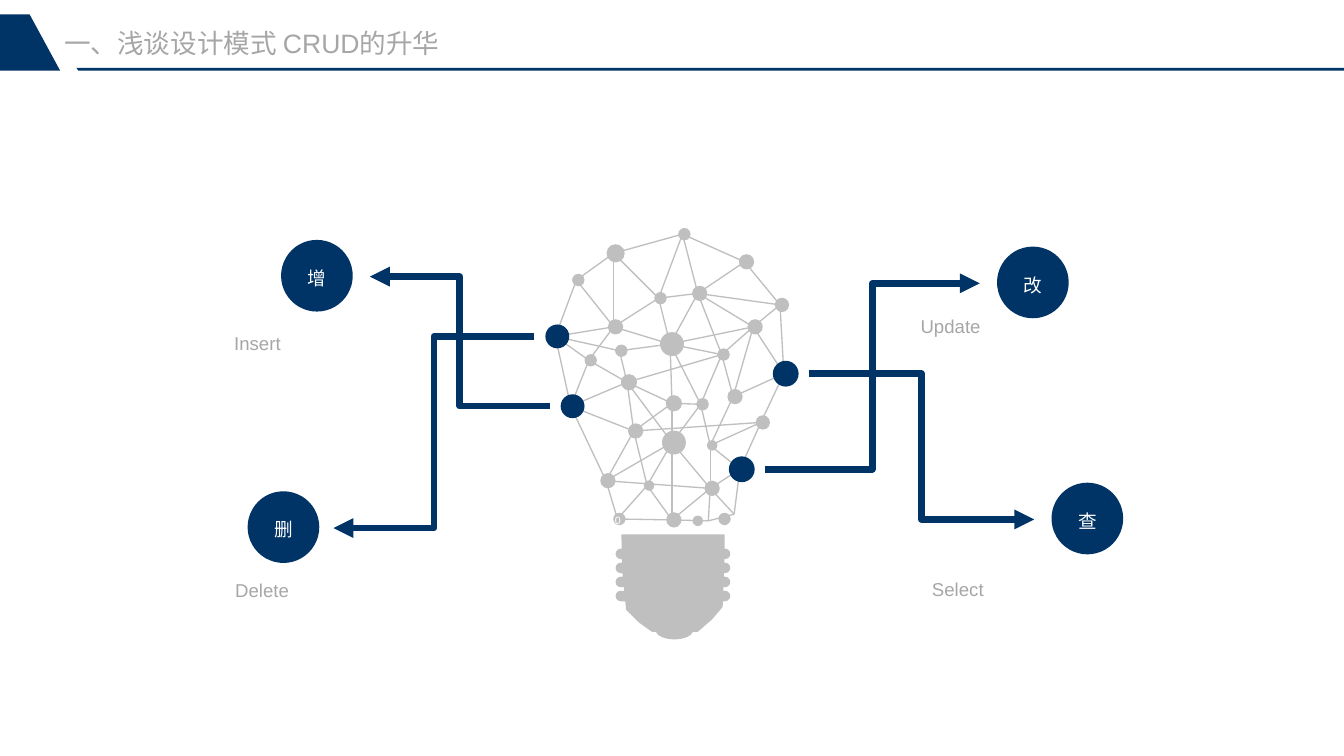
import pptx
import pptx.util
import pptx.dml.color
import pptx.enum.shapes
import pptx.enum.text
import pptx.oxml.ns
import lxml.etree
from dataclasses import dataclass

Inches = pptx.util.Inches
Pt = pptx.util.Pt
Kind = pptx.enum.shapes.MSO_SHAPE
Link = pptx.enum.shapes.MSO_CONNECTOR
Align = pptx.enum.text.PP_ALIGN
Anchor = pptx.enum.text.MSO_ANCHOR
qn = pptx.oxml.ns.qn


@dataclass(frozen=True)
class Theme:
    navy: str = "003366"
    grey: str = "BFBFBF"
    text: str = "A6A6A6"
    white: str = "FFFFFF"
    font: str = "Arial"
    head: int = 20
    body: int = 14
    tiny: int = 8
    thin: int = 1
    thick: int = 5


THEME = Theme()

# Bulb dots: centre x, centre y, width, relative to the bulb's box
DOTS = {
    "a": (2.48, .79, .15), "b": (.74, .25, .19), "c": (2.28, 2.02, .15),
    "d": (1.46, .05, .13), "e": (1.88, 3.03, .13), "f": (.35, .53, .13),
    "g": (2.11, .34, .16), "h": (.78, 3.03, .13), "i": (.66, 2.63, .16),
    "j": (1.33, 1.2, .25), "k": (.88, 1.6, .17), "l": (.8, 1.27, .13),
    "m": (1.65, 1.83, .13), "n": (1.87, 1.31, .13), "o": (1.21, .72, .13),
    "p": (1.6, 3.05, .11), "q": (1.35, 3.04, .16), "r": (1.75, 2.71, .16),
    "s": (1.35, 2.23, .25), "t": (1.35, 1.82, .17), "u": (.48, 1.37, .13),
    "v": (.74, 1.02, .16), "w": (1.62, .67, .16), "x": (2.2, 1.02, .16),
    "y": (1.99, 1.75, .16), "z": (.95, 2.11, .16), "A": (1.75, 2.26, .11),
    "B": (1.09, 2.68, .11),
}
# Navy dots, where the four branches start
HUBS = {
    "C": (2.52, 1.51, .27), "D": (2.06, 2.51, .27),
    "E": (.29, 1.85, .25), "F": (.13, 1.12, .25),
}
# Corners of the net without a dot
BENDS = {"G": (2, 2.98, 0), "H": (1.73, 3.05, 0)}
NET = """yC Ei kz Cc cD yA DG ih aC ga dg bd fb fF FE Fv uv Fl Eu Fu lk vf bv vo
bo do dw gw aw jm jw ow wx ax xC nx wn jo lj vj jx jn ku Ek Ez iz Bz hB Bq qs
jt ks st ny yx mn kn rs qr AD Ar mA zt kt tm sm Bs is ir cA zc hq qH HG rH rG
rD""".split()
NUDGE = .02  # the net sits slightly left of its dots

BASE = [(.8, 3.19), (1.88, 3.19), (1.88, 3.4), (1.87, 3.7), (1.86, 3.95),
        (1.75, 4.08), (1.6, 4.21), (1.12, 4.21), (.98, 4.11), (.85, 3.98),
        (.81, 3.58)]


def tint(name):
    return pptx.dml.color.RGBColor.from_string(name)


def paint(shape, color):
    shape.shadow.inherit = False
    shape.fill.solid()
    shape.fill.fore_color.rgb = tint(color)
    shape.line.fill.background()
    return shape


def block(slide, kind, x, y, w, h, color):
    box = [Inches(v) for v in (x, y, w, h)]
    return paint(slide.shapes.add_shape(kind, *box), color)


def dot(slide, x, y, size, color):
    return block(slide, Kind.OVAL, x - size / 2, y - size / 2, size, size, color)


def outline(slide, points, color):
    first, *rest = [(Inches(x), Inches(y)) for x, y in points]
    pen = slide.shapes.build_freeform(*first, scale=1.0)
    pen.add_line_segments(rest, close=True)
    return paint(pen.convert_to_shape(), color)


def line(slide, kind, start, end, color, width):
    wire = slide.shapes.add_connector(kind, *[Inches(v) for v in (*start, *end)])
    wire.line.color.rgb = tint(color)
    wire.line.width = Pt(width)
    lxml.etree.SubElement(wire._element.spPr, qn("a:effectLst"))
    return wire


def write(shape, text, size, color, inset=(0, 0), anchor=Anchor.TOP, **para):
    frame = shape.text_frame
    side, edge = [Inches(v) for v in inset]
    look = {"word_wrap": True, "vertical_anchor": anchor,
            "margin_left": side, "margin_right": side,
            "margin_top": edge, "margin_bottom": edge}
    part = frame.paragraphs[0]
    run = part.add_run()
    run.text = text
    run.font.color.rgb = tint(color)
    face = {"name": THEME.font, "size": Pt(size)}
    for item, values in ((frame, look), (part, para), (run.font, face)):
        for key, value in values.items():
            setattr(item, key, value)


def label(slide, x, y, w, h, text, size, **para):
    box = slide.shapes.add_textbox(*[Inches(v) for v in (x, y, w, h)])
    write(box, text, size, THEME.text, **para)


def header(slide, x, y, w, h):
    # Rule, slanted tab and title
    low = y + h
    outline(slide, [(x + .8, low - .03), (x + w, low - .03),
                    (x + w, low), (x + .82, low)], THEME.navy)
    outline(slide, [(x + .31, y), (x + .63, low), (x, low), (x, y)], THEME.navy)
    label(slide, x + .67, y + .13, 4.29, .34, "一、浅谈设计模式 CRUD的升华",
          THEME.head, space_after=Pt(6))


def bulb(slide, x, y):
    # Net
    spots = {**DOTS, **HUBS, **BENDS}
    for pair in NET:
        start, end = [(x + spots[n][0] - NUDGE, y + spots[n][1]) for n in pair]
        line(slide, Link.STRAIGHT, start, end, THEME.grey, THEME.thin)
    # Dots
    for group, color in ((DOTS, THEME.grey), (HUBS, THEME.navy)):
        for name, (dx, dy, size) in group.items():
            ball = dot(slide, x + dx, y + dy, size, color)
            if name == "h":
                write(ball, "0", THEME.tiny, THEME.white, (.11, .05),
                      Anchor.MIDDLE, alignment=Align.JUSTIFY, line_spacing=1.2)
    # Screw base
    outline(slide, [(x + dx, y + dy) for dx, dy in BASE], THEME.grey)
    for row in range(4):
        ring = block(slide, Kind.ROUNDED_RECTANGLE, x + .74,
                     y + 3.34 + row * .147, 1.2, .11, THEME.grey)
        ring.adjustments[0] = .5
    block(slide, Kind.OVAL, x + 1.16, y + 4.1, .39, .19, THEME.grey)


def branch(slide, x, y, sign, word, hub, side, gap, note):
    # Badge
    size = .75
    badge = block(slide, Kind.OVAL, x, y, size, size, THEME.navy)
    write(badge, sign, THEME.body, THEME.white, anchor=Anchor.MIDDLE,
          alignment=Align.CENTER, line_spacing=1.2)
    # Arrow from the hub to the badge; side is -1 left of the bulb, 1 right
    start = (hub[0] + side * .24, hub[1])
    tip = (x - gap if side > 0 else x + size + gap, y + size / 2 + .01)
    wire = line(slide, Link.ELBOW, start, tip, THEME.navy, THEME.thick)
    stroke = wire._element.spPr.find(qn("a:ln"))
    lxml.etree.SubElement(stroke, qn("a:tailEnd"), type="triangle")
    # Label
    dx, dy, w = note
    label(slide, x + dx, y + dy, w, .28, word, THEME.body,
          alignment=Align.JUSTIFY, line_spacing=1.2)


def main():
    deck = pptx.Presentation()
    deck.slide_width, deck.slide_height = Inches(14.06), Inches(7.91)
    slide = deck.slides.add_slide(deck.slide_layouts[6])
    left, top = 5.7, 2.4
    bulb(slide, left, top)
    for x, y, sign, word, hub, side, gap, note in (
        (2.94, 2.51, "增", "Insert", "E", -1, .18, (-.49, .92, 1.74)),
        (2.59, 5.14, "删", "Delete", "F", -1, .15, (-.13, .87, 1.74)),
        (10.43, 2.58, "改", "Update", "D", 1, .18, (-.8, .67, 1.76)),
        (11, 5.05, "查", "Select", "C", 1, .18, (-1.25, .95, .77)),
    ):
        spot = (left + HUBS[hub][0], top + HUBS[hub][1])
        branch(slide, x, y, sign, word, spot, side, gap, note)
    header(slide, 0, .15, 14.06, .59)
    deck.save("out.pptx")


if __name__ == "__main__":
    main()
